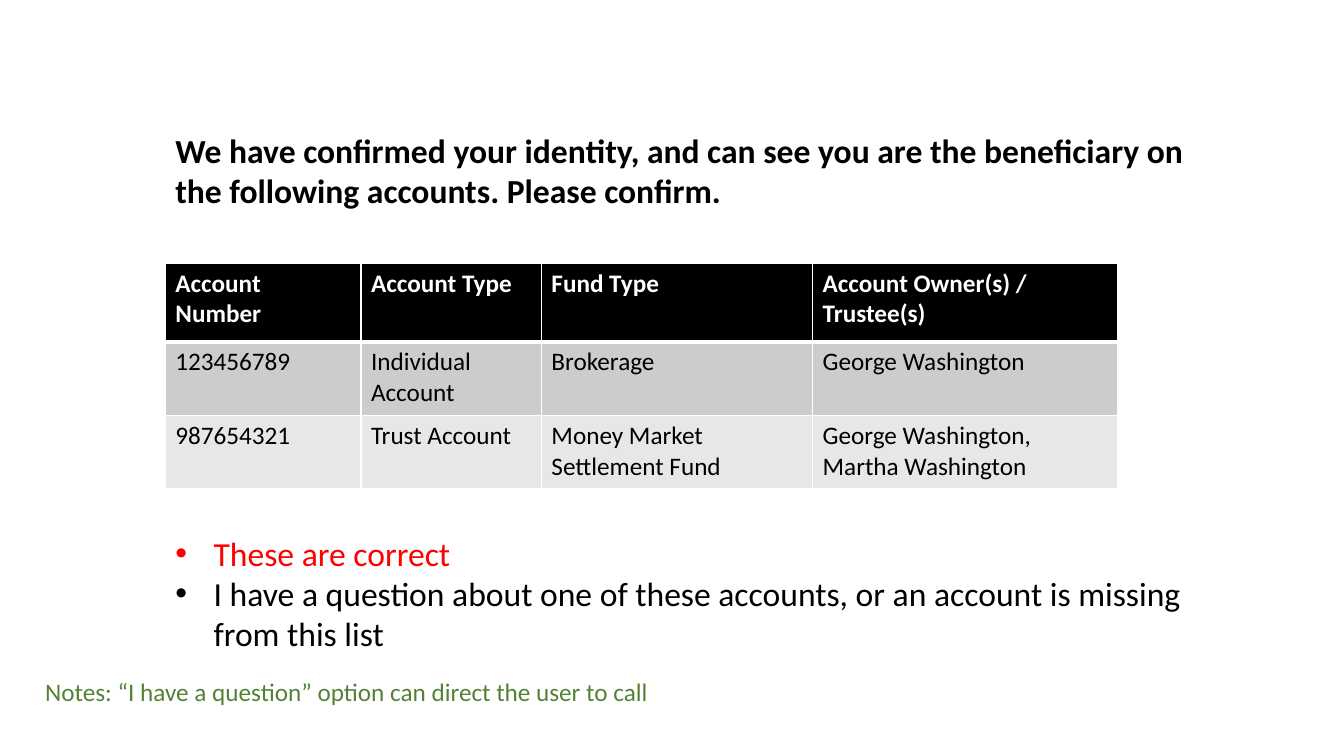
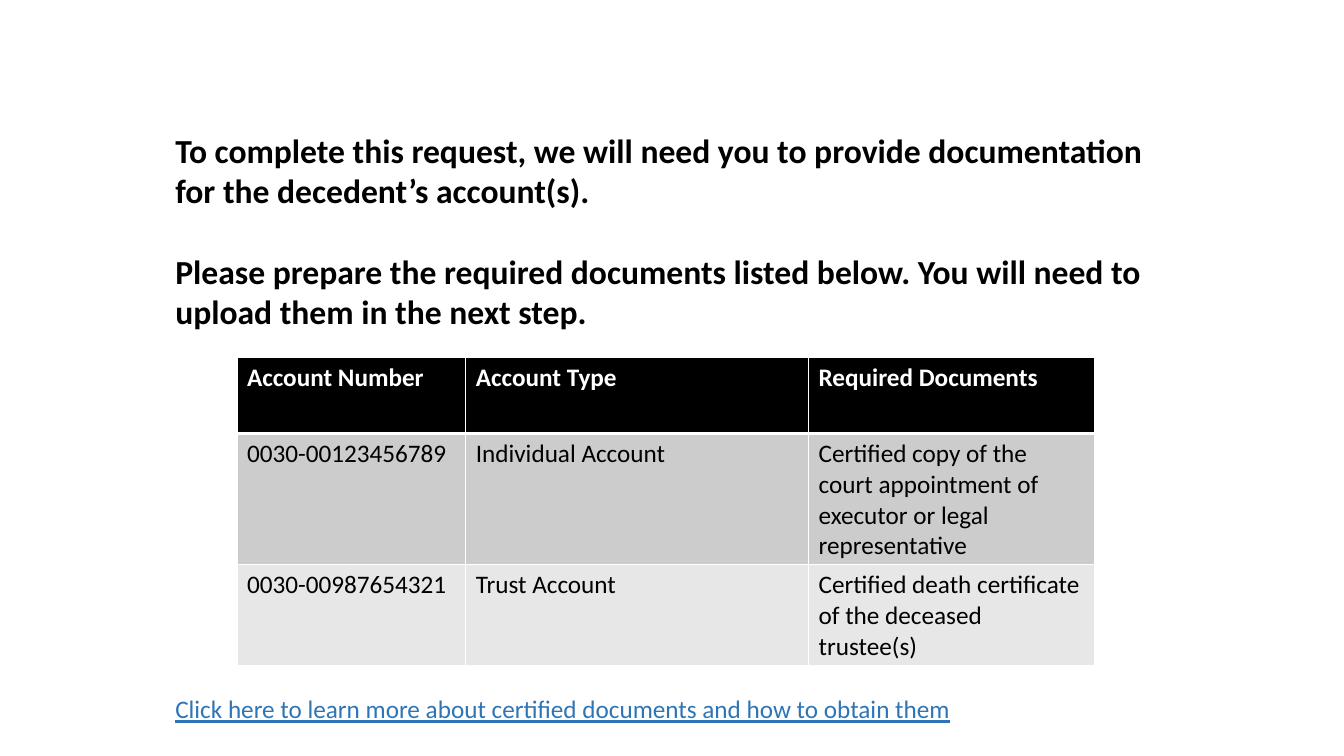
from lxml import etree
from pptx import Presentation
from pptx.dml.color import RGBColor
from pptx.enum.text import MSO_AUTO_SIZE
from pptx.oxml.ns import qn
from pptx.util import Inches, Pt

COLORS = {
    "text": "000000",
    "header": "000000",
    "white": "FFFFFF",
    "odd_row": "CCCCCC",
    "even_row": "E7E7E7",
    "selected": "FF0000",
    "note": "548235",
    "link": "2E75B6",
}
FONT = "Calibri"
SHRINK_NONE_GROW = MSO_AUTO_SIZE.SHAPE_TO_FIT_TEXT
BODY_LEFT, BODY_TOP, BODY_WIDTH = 1.64, 1.24, 10.21
HEADING_SIZE, SMALL_SIZE = 24, 18
LINE_PITCH = 28.75  # points taken by one line of heading text
BULLET_INDENT = 0.38


def rgb(name):
    """Return the named colour."""
    return RGBColor.from_string(COLORS[name])


def style_paragraph(paragraph, size, color="text", bold=False, underline=False):
    """Format every run of a paragraph."""
    for run in paragraph.runs:
        font = run.font
        font.name = FONT
        font.size = Pt(size)
        font.bold = bold
        font.underline = underline
        font.color.rgb = rgb(color)


def add_bullet(paragraph):
    """Give a paragraph a round bullet and a hanging indent."""
    properties = paragraph._p.get_or_add_pPr()
    properties.set("marL", str(Inches(BULLET_INDENT)))
    properties.set("indent", str(-Inches(BULLET_INDENT)))
    etree.SubElement(properties, qn("a:buFont")).set("typeface", "Arial")
    etree.SubElement(properties, qn("a:buChar")).set("char", "•")


def add_text_box(slide, left, top, width, height):
    """Add an empty wrapping text box and return its text frame."""
    shape = slide.shapes.add_textbox(
        Inches(left), Inches(top), Inches(width), Inches(height))
    text_frame = shape.text_frame
    text_frame.word_wrap = True
    text_frame.auto_size = SHRINK_NONE_GROW
    return text_frame


def add_body(slide, height, heading):
    """Add the main text box with its bold opening paragraph."""
    text_frame = add_text_box(slide, BODY_LEFT, BODY_TOP, BODY_WIDTH, height)
    text_frame.text = heading
    style_paragraph(text_frame.paragraphs[0], HEADING_SIZE, bold=True)
    return text_frame


def add_paragraph(text_frame, text, size=HEADING_SIZE, lines_before=0,
                  bullet=False, **style):
    """Append a paragraph, set off by a number of heading lines."""
    paragraph = text_frame.add_paragraph()
    paragraph.text = text
    paragraph.space_before = Pt(lines_before * LINE_PITCH)
    if bullet:
        add_bullet(paragraph)
    style_paragraph(paragraph, size, **style)


def set_borders(cell, top, bottom):
    """Draw white cell borders; top and bottom are widths in points."""
    properties = cell._tc.get_or_add_tcPr()
    widths = {"lnL": 1, "lnR": 1, "lnT": top, "lnB": bottom}
    for index, (side, width) in enumerate(widths.items()):
        line = etree.Element(qn("a:" + side), w=str(Pt(width)))
        fill = etree.SubElement(line, qn("a:solidFill"))
        etree.SubElement(fill, qn("a:srgbClr")).set("val", COLORS["white"])
        properties.insert(index, line)


def add_account_table(slide, left, top, column_widths, row_heights, rows):
    """Add a table with a black header and grey banded rows."""
    table = slide.shapes.add_table(
        len(rows), len(column_widths), Inches(left), Inches(top),
        Inches(sum(column_widths)), Inches(sum(row_heights))).table
    for column, width in zip(table.columns, column_widths):
        column.width = Inches(width)
    for row_index, values in enumerate(rows):
        is_header = row_index == 0
        band = "odd_row" if row_index % 2 else "even_row"
        table.rows[row_index].height = Inches(row_heights[row_index])
        for column_index, value in enumerate(values):
            cell = table.cell(row_index, column_index)
            cell.text_frame.text = value
            style_paragraph(cell.text_frame.paragraphs[0], SMALL_SIZE,
                            "white" if is_header else "text", is_header)
            cell.fill.solid()
            cell.fill.fore_color.rgb = rgb("header" if is_header else band)
            set_borders(cell, top=3 if row_index == 1 else 1,
                        bottom=3 if is_header else 1)


def add_note(slide, text):
    """Add the green remark at the foot of a slide."""
    text_frame = add_text_box(slide, 0.35, 6.66, 12.34, 0.4)
    text_frame.text = text
    style_paragraph(text_frame.paragraphs[0], SMALL_SIZE, "note")


def build_confirmation(slide):
    """Build the slide that asks to confirm the accounts."""
    body = add_body(slide, 5.35, "We have confirmed your identity, and can see "
                    "you are the beneficiary on the following accounts. "
                    "Please confirm.")
    add_paragraph(body, "These are correct", lines_before=8, bullet=True,
                  color="selected")
    add_paragraph(body, "I have a question about one of these accounts, or an "
                  "account is missing from this list", bullet=True)
    add_account_table(
        slide, BODY_LEFT, 2.61, [1.94, 1.79, 2.69, 3.03], [0.78, 0.73, 0.73], [
            ["Account Number", "Account Type", "Fund Type",
             "Account Owner(s) / Trustee(s)"],
            ["123456789", "Individual Account", "Brokerage",
             "George Washington"],
            ["987654321", "Trust Account", "Money Market Settlement Fund",
             "George Washington, Martha Washington"],
        ])
    add_note(slide, "Notes: “I have a question” option can direct the user "
             "to call")


def build_documents(slide):
    """Build the slide that lists the required documents."""
    body = add_body(slide, 6.06, "To complete this request, we will need you to "
                    "provide documentation for the decedent’s account(s). ")
    add_paragraph(body, "Please prepare the required documents listed below. "
                  "You will need to upload them in the next step.",
                  lines_before=1, bold=True)
    add_paragraph(body, "Click here to learn more about certified documents "
                  "and how to obtain them", SMALL_SIZE, lines_before=9,
                  color="link", underline=True)
    add_account_table(
        slide, 2.35, 3.55, [2.27, 3.4, 2.84], [0.75, 1.3, 1], [
            ["Account Number", "Account Type", "Required Documents"],
            ["0030-00123456789", "Individual Account",
             "Certified copy of the court appointment of executor or legal "
             "representative"],
            ["0030-00987654321", "Trust Account",
             "Certified death certificate of the deceased trustee(s)"],
        ])


def main():
    """Create and save the presentation."""
    presentation = Presentation()
    presentation.slide_width = Inches(13.33)
    presentation.slide_height = Inches(7.5)
    blank_layout = presentation.slide_layouts[6]
    for build in (build_confirmation, build_documents):
        build(presentation.slides.add_slide(blank_layout))
    presentation.save("out.pptx")


main()
